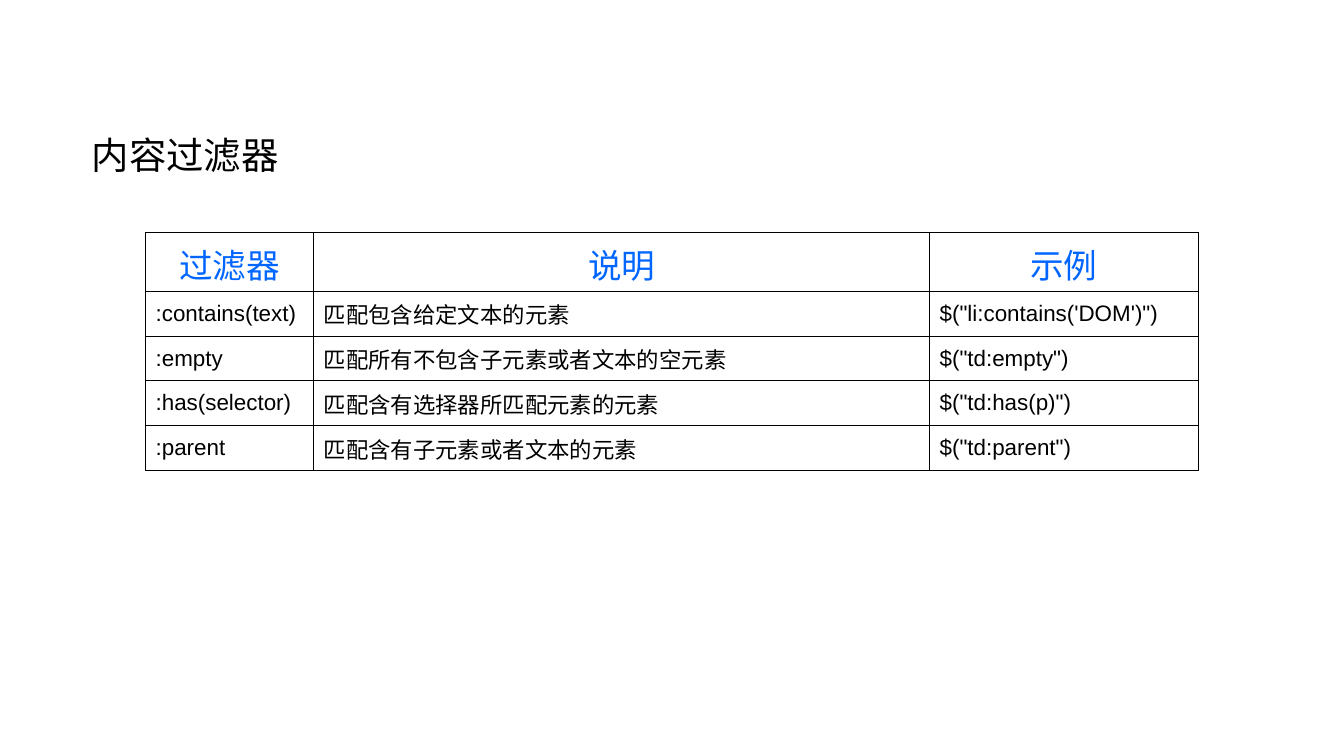
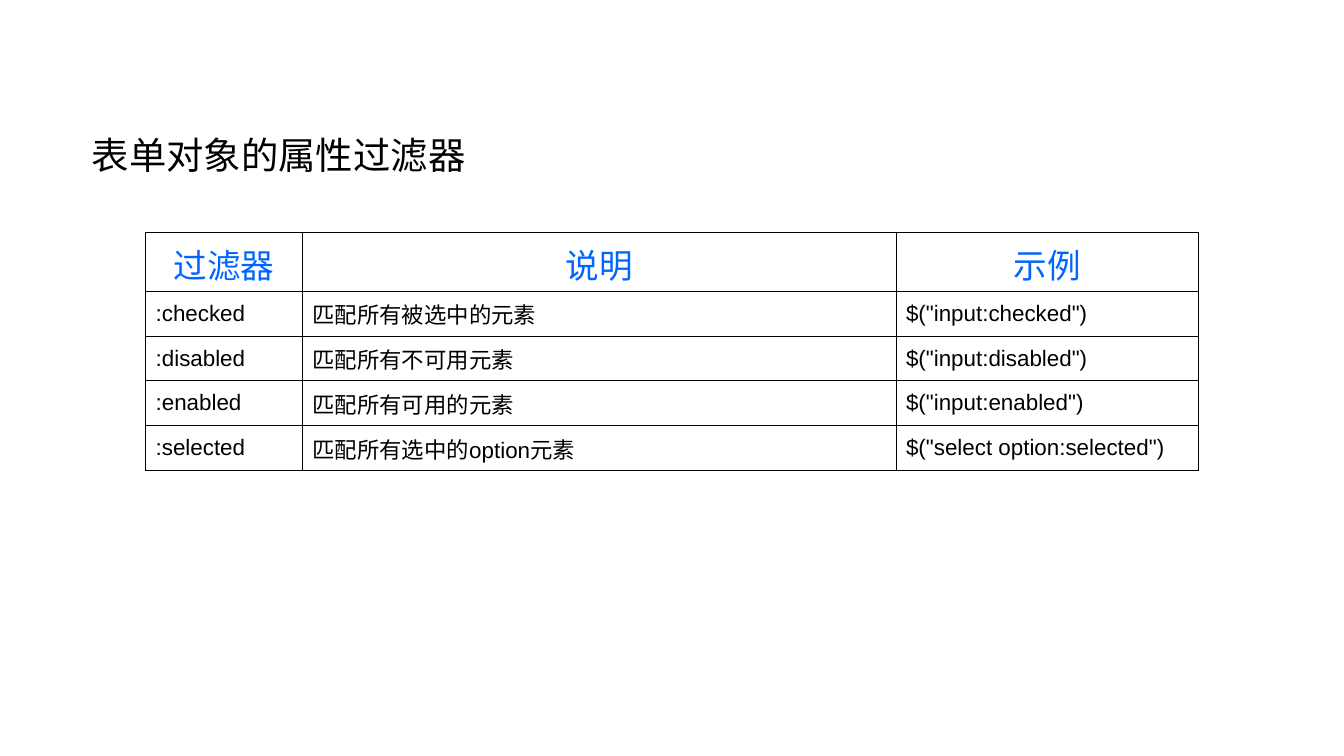
"""Build two slides that list filters in ruled tables."""
from dataclasses import dataclass

from lxml.etree import SubElement
from pptx import Presentation
from pptx.dml.color import RGBColor
from pptx.enum.text import MSO_ANCHOR as Anchor, MSO_AUTO_SIZE as Fit, PP_ALIGN as Align
from pptx.oxml.ns import qn
from pptx.slide import Slide
from pptx.table import _Cell as Cell
from pptx.text.text import _Paragraph as Para
from pptx.util import Inches, Pt

BLACK = RGBColor(0x00, 0x00, 0x00)
BLUE = RGBColor(0x00, 0x66, 0xFF)
UNIT = Inches(1) / 12
WIDE, HIGH = 120, 67.5
THIN, THICK = Pt(0.45), Pt(0.75)
HEAD = ("过滤器", "说明", "示例")


@dataclass(frozen=True)
class Style:
    font: str
    size: int
    color: RGBColor
    align: Align


@dataclass(frozen=True)
class Page:
    title: str
    cols: tuple[int, ...]
    rows: tuple[tuple[str, ...], ...]


TITLE = Style("Times New Roman", 20, BLACK, Align.LEFT)
LABEL = Style("Arial", 18, BLUE, Align.CENTER)
BODY = Style("Arial", 12, BLACK, Align.JUSTIFY)

PAGES = (
    Page("内容过滤器", (15, 55, 24), (
        (":contains(text)", "匹配包含给定文本的元素", "$(\"li:contains('DOM')\")"),
        (":empty", "匹配所有不包含子元素或者文本的空元素", '$("td:empty")'),
        (":has(selector)", "匹配含有选择器所匹配元素的元素", '$("td:has(p)")'),
        (":parent", "匹配含有子元素或者文本的元素", '$("td:parent")'),
    )),
    Page("表单对象的属性过滤器", (14, 53, 27), (
        (":checked", "匹配所有被选中的元素", '$("input:checked")'),
        (":disabled", "匹配所有不可用元素", '$("input:disabled")'),
        (":enabled", "匹配所有可用的元素", '$("input:enabled")'),
        (":selected", "匹配所有选中的option元素", '$("select option:selected")'),
    )),
)


def grid(*units: float) -> list[int]:
    """Turn grid units into lengths."""
    return [round(unit * UNIT) for unit in units]


def write(para: Para, text: str, style: Style) -> None:
    """Add one styled run to a paragraph."""
    para.alignment = style.align
    run = para.add_run()
    run.text = text
    run.font.name = style.font
    run.font.size = Pt(style.size)
    run.font.color.rgb = style.color


def rule(cell: Cell, edges: dict[str, bool]) -> None:
    """Draw the four borders, thick on the outer edges."""
    props = cell._tc.get_or_add_tcPr()
    for side, outer in edges.items():
        line = SubElement(props, qn(f"a:ln{side}"), w=str(THICK if outer else THIN))
        fill = SubElement(line, qn("a:solidFill"))
        SubElement(fill, qn("a:srgbClr"), val=str(BLACK))


def add_title(slide: Slide, text: str) -> None:
    """Place the slide title."""
    frame = slide.shapes.add_textbox(*grid(7, 11.25, 44, 5.25)).text_frame
    frame.word_wrap = True
    frame.auto_size = Fit.SHAPE_TO_FIT_TEXT
    write(frame.paragraphs[0], text, TITLE)


def add_grid(slide: Slide, page: Page) -> None:
    """Place the table of filters."""
    lines = (HEAD, *page.rows)
    tall = (5.25, *[4] * len(page.rows))
    box = grid(13, 20.75, sum(page.cols), sum(tall))
    table = slide.shapes.add_table(len(lines), len(HEAD), *box).table
    table.first_row = table.horz_banding = False
    for col, width in zip(table.columns, grid(*page.cols)):
        col.width = width
    for row, height in zip(table.rows, grid(*tall)):
        row.height = height
    for r, line in enumerate(lines):
        for c, text in enumerate(line):
            cell = table.cell(r, c)
            rule(cell, {"L": c == 0, "R": c == len(HEAD) - 1,
                        "T": r == 0, "B": r == len(lines) - 1})
            cell.fill.background()
            cell.vertical_anchor = Anchor.MIDDLE
            para = cell.text_frame.paragraphs[0]
            if r:
                cell.margin_left = cell.margin_right = round(0.9 * UNIT)
                para.space_after = Pt(1.2)
            write(para, text, BODY if r else LABEL)


def main() -> None:
    """Build and save the deck."""
    deck = Presentation()
    deck.slide_width, deck.slide_height = grid(WIDE, HIGH)
    for page in PAGES:
        slide = deck.slides.add_slide(deck.slide_layouts[6])
        add_title(slide, page.title)
        add_grid(slide, page)
    deck.save("out.pptx")


if __name__ == "__main__":
    main()
